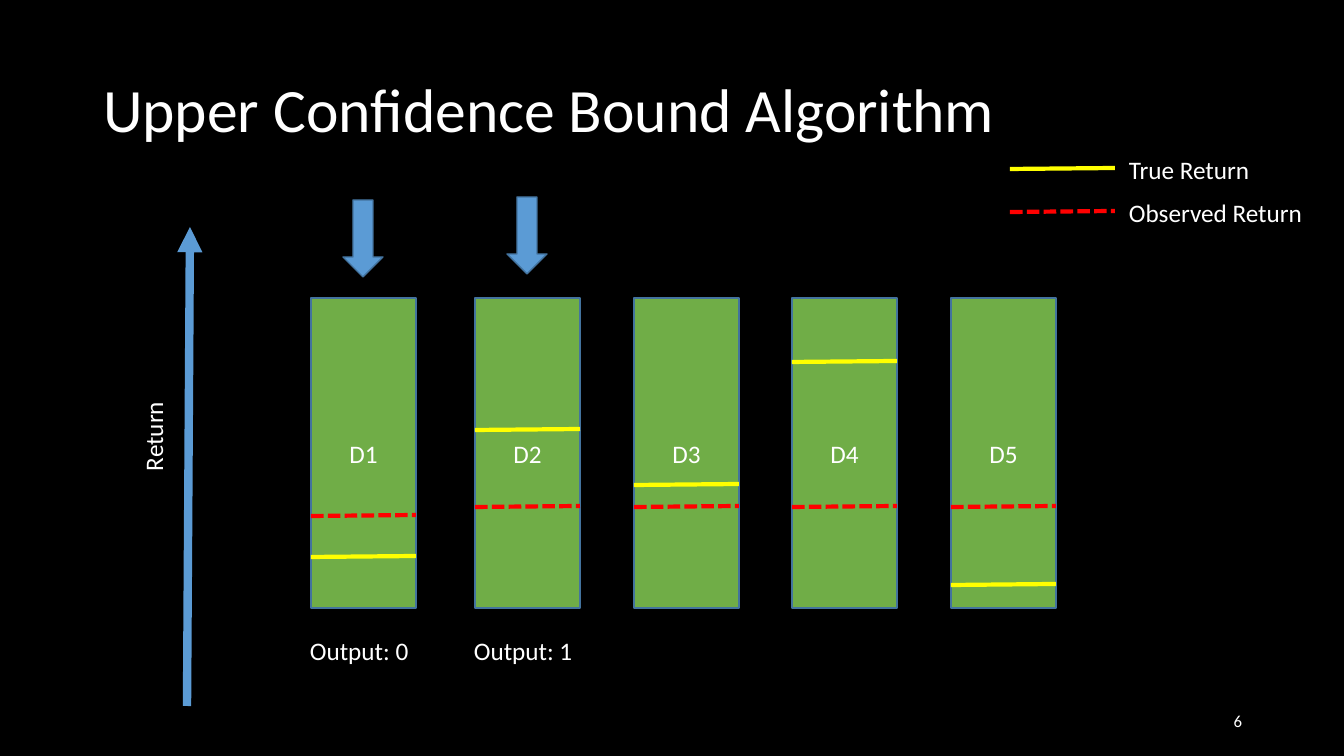
from lxml.etree import SubElement
from pptx import Presentation
from pptx.dml.color import RGBColor
from pptx.enum.dml import MSO_LINE
from pptx.enum.shapes import MSO_CONNECTOR, MSO_SHAPE
from pptx.enum.text import MSO_ANCHOR as Anchor, MSO_AUTO_SIZE, PP_ALIGN as Align
from pptx.oxml.ns import qn
from pptx.util import Emu, Pt

SLIDE_W, SLIDE_H = 1344, 756
EMU_PER_PX = 12192000 / SLIDE_W
COLORS = {
    "background": "000000", "text": "FFFFFF", "bar": "70AD47",
    "arrow": "5B9BD5", "outline": "43739E", "true": "FFFF00", "observed": "FF0000",
}
BAR_TOP, BAR_W, BAR_H = 298, 105, 310
ARROW_W, ARROW_H = 40, 77

# name, left, height of the true return, height of the observed return
ARMS = [
    ("D1", 311, 557, 516),
    ("D2", 475, 430, 507),
    ("D3", 634, 485, 507),
    ("D4", 792, 362, 507),
    ("D5", 951, 585, 507),
]
# arm left, top of the arrow, result
PULLS = [(311, 200, "Output: 0"), (475, 197, "Output: 1")]
LEGEND = [("true", "True Return", 169), ("observed", "Observed Return", 212)]


def px(*lengths):
    return [Emu(round(length * EMU_PER_PX)) for length in lengths]


def color(name):
    return RGBColor.from_string(COLORS[name])


class SlideBuilder:
    """Adds elements in one style to the current slide."""

    def __init__(self, deck, font="Calibri"):
        self.font = font
        self.slide = deck.slides.add_slide(deck.slide_layouts[5])
        self.shapes = self.slide.shapes
        backdrop = self.slide.background.fill
        backdrop.solid()
        backdrop.fore_color.rgb = color("background")

    def set_text(self, frame, wording, size, align, anchor):
        frame.text = wording
        frame.word_wrap = True
        frame.vertical_anchor = anchor
        paragraph = frame.paragraphs[0]
        paragraph.alignment = align
        paragraph.font.name = self.font
        paragraph.font.size = Pt(size)
        paragraph.font.color.rgb = color("text")
        return paragraph

    def title(self, wording, *box):
        heading = self.shapes.title
        heading.left, heading.top, heading.width, heading.height = px(*box)
        frame = heading.text_frame
        self.set_text(frame, wording, 44, Align.LEFT, Anchor.MIDDLE).line_spacing = 0.9
        frame.auto_size = MSO_AUTO_SIZE.NONE

    def label(self, wording, *box, size=18, align=Align.LEFT, anchor=Anchor.TOP, upward=False):
        frame = self.shapes.add_textbox(*px(*box)).text_frame
        self.set_text(frame, wording, size, align, anchor)
        if upward:
            frame._txBody.bodyPr.set("vert", "vert270")

    def block(self, kind, fill, *box, wording="", parent=None):
        shape = (parent or self.shapes).add_shape(kind, *px(*box))
        shape.shadow.inherit = False
        shape.fill.solid()
        shape.fill.fore_color.rgb = color(fill)
        shape.line.color.rgb = color("outline")
        shape.line.width = Pt(1)
        if wording:
            self.set_text(shape.text_frame, wording, 18, Align.CENTER, Anchor.MIDDLE)

    def line(self, stroke, *ends, width=3, arrowhead=False, parent=None):
        connector = (parent or self.shapes).add_connector(MSO_CONNECTOR.STRAIGHT, *px(*ends))
        connector.line.color.rgb = color(stroke)
        connector.line.width = Pt(width)
        if stroke == "observed":
            connector.line.dash_style = MSO_LINE.SQUARE_DOT
        properties = connector._element.spPr
        if arrowhead:
            SubElement(properties.find(qn("a:ln")), qn("a:tailEnd"), type="triangle")
        SubElement(properties, qn("a:effectLst"))

    def marker(self, stroke, left, y, parent=None):
        """Draws a bar-wide return line that rises slightly to the right."""
        self.line(stroke, left, y, left + BAR_W, y - 1, parent=parent)

    def arm(self, name, left, true_y, observed_y):
        group = self.shapes.add_group_shape().shapes
        self.block(MSO_SHAPE.RECTANGLE, "bar", left, BAR_TOP, BAR_W, BAR_H,
                   wording=name, parent=group)
        self.marker("observed", left, observed_y, group)
        self.marker("true", left, true_y, group)


def main():
    deck = Presentation()
    deck.slide_width, deck.slide_height = px(SLIDE_W, SLIDE_H)
    page = SlideBuilder(deck)

    page.title("Upper Confidence Bound Algorithm", 93, 40, 1159, 146)
    page.label("6", 950, 701, 302, 40, size=12, align=Align.RIGHT, anchor=Anchor.MIDDLE)

    page.line("arrow", 187, 706, 190, 227, width=6, arrowhead=True)
    page.label("Return", 128, 264, 50, 345, align=Align.CENTER,
               anchor=Anchor.MIDDLE, upward=True)

    for arm in ARMS:
        page.arm(*arm)

    for left, arrow_top, result in PULLS:
        page.block(MSO_SHAPE.DOWN_ARROW, "arrow", left + (BAR_W - ARROW_W) // 2,
                   arrow_top, ARROW_W, ARROW_H)
        page.label(result, left - 11, 630, 127, 40)

    for stroke, meaning, y in LEGEND:
        page.marker(stroke, 1010, y)
        page.label(meaning, 1119, y - 20, 201, 40)

    deck.save("out.pptx")


if __name__ == "__main__":
    main()
